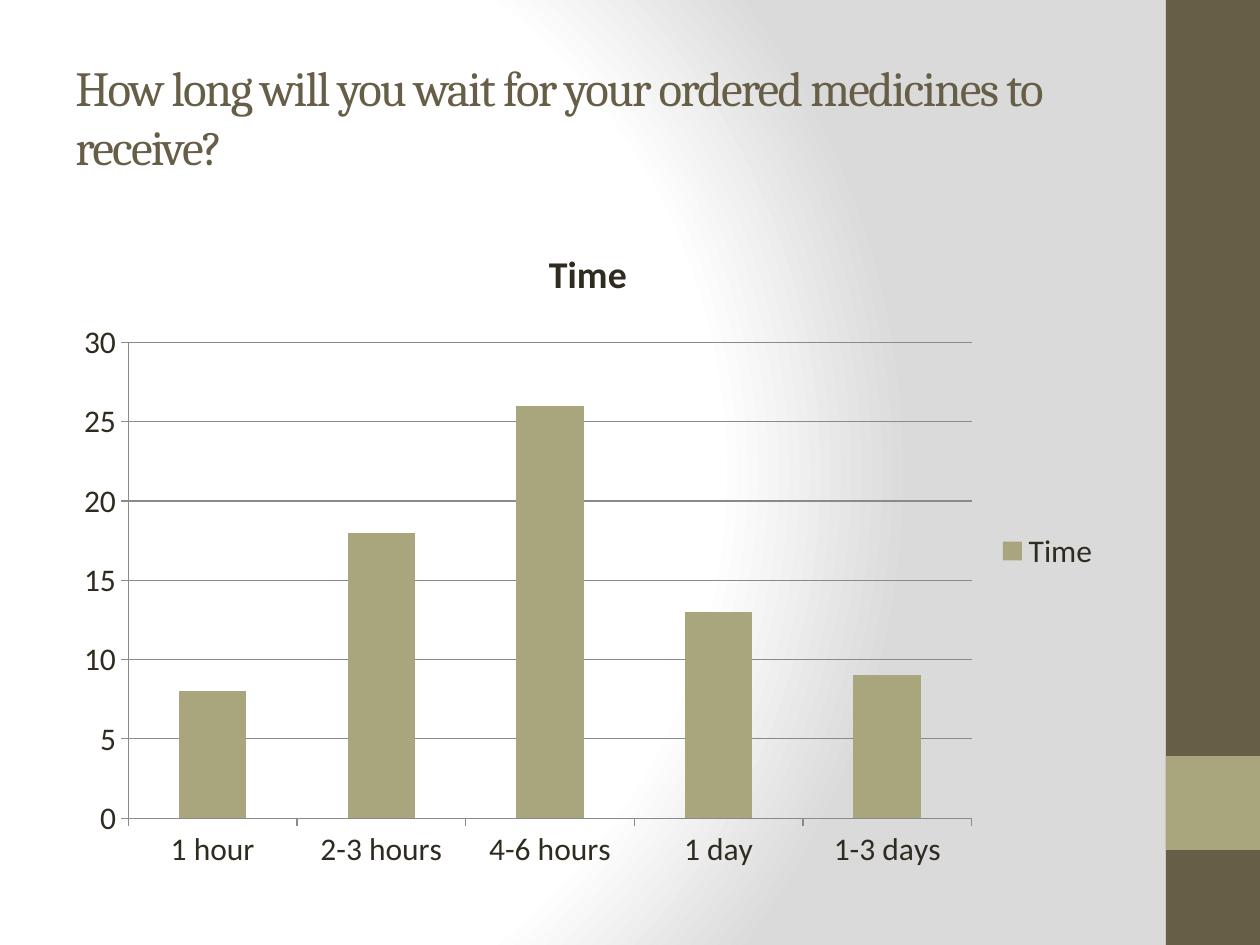
from pptx import Presentation
from pptx import util as u
from pptx.chart import data as cd
from pptx.dml.color import RGBColor
from pptx.enum import chart as ch, shapes, text
from pptx.oxml import parse_xml
from pptx.oxml.ns import nsdecls, qn

PX = 914400 / 126
COLORS = {"dark": "675E47", "sage": "A9A57C", "ink": "2F2B20", "grid": "8B8989",
          "white": "FFFFFF", "gray": "DADADA"}


def px(*lengths):
    return [u.Emu(int(n * PX)) for n in lengths]


def set_font(font, **values):
    font.color.rgb = RGBColor.from_string(COLORS[values.pop("color")])
    for name, value in values.items():
        setattr(font, name, value)


prs = Presentation()
prs.slide_width, prs.slide_height = px(1260, 945)
s = prs.slides.add_slide(prs.slide_layouts[6])

s.background.fill.gradient()
old = next(s._element.iter(qn("a:gradFill")))
stops = "".join(f'<a:gs pos="{pos * 1000}"><a:srgbClr val="{COLORS[c]}"/></a:gs>'
                for pos, c in ((0, "white"), (75, "white"), (100, "gray")))
old.getparent().replace(old, parse_xml(
    f'<a:gradFill {nsdecls("a")} rotWithShape="1"><a:gsLst>{stops}</a:gsLst>'
    '<a:path path="circle"><a:fillToRect l="20000" t="50000" r="100000" b="50000"/>'
    '</a:path></a:gradFill>'))

for top, height, color in ((0, 945, "dark"), (756, 94, "sage")):
    sp = s.shapes.add_shape(shapes.MSO_SHAPE.RECTANGLE, *px(1166, top, 94, height))
    sp.shadow.inherit = False
    sp.fill.solid()
    sp.fill.fore_color.rgb = RGBColor.from_string(COLORS[color])
    sp.line.fill.background()

title = s.shapes.add_textbox(*px(63, 38, 1050, 157))
tf = title.text_frame
tf.word_wrap = True
tf.vertical_anchor = text.MSO_ANCHOR.MIDDLE
r = tf.paragraphs[0].add_run()
r.text = "How long will you wait for your ordered medicines to receive?"
set_font(r.font, size=u.Pt(28), name="Cambria", color="dark")
r.font._element.set("spc", "-100")

times = cd.CategoryChartData()
times.categories = ["1 hour", "2-3 hours", "4-6 hours", "1 day", "1-3 days"]
times.add_series("Time", (8, 18, 26, 13, 9))
chart = s.shapes.add_chart(ch.XL_CHART_TYPE.COLUMN_STACKED, *px(63, 220, 1050, 662), times).chart
set_font(chart.font, size=u.Pt(18), name="Calibri", color="ink")
chart.has_title = True
r = chart.chart_title.text_frame.paragraphs[0].add_run()
r.text = "Time"
set_font(r.font, size=u.Pt(21.6), name="Calibri", bold=True, color="ink")
chart.has_legend = True
chart.legend.position = ch.XL_LEGEND_POSITION.RIGHT
chart.legend.include_in_layout = False

plot = chart.plots[0]
for name, value in {"gap_width": 150, "overlap": 100, "vary_by_categories": False}.items():
    setattr(plot, name, value)
bars = plot.series[0].format.fill
bars.solid()
bars.fore_color.rgb = RGBColor.from_string(COLORS["sage"])

scale = chart.value_axis
for name, value in {"minimum_scale": 0, "maximum_scale": 30, "major_unit": 5,
                    "has_major_gridlines": True}.items():
    setattr(scale, name, value)
for axis in (scale, chart.category_axis):
    axis.major_tick_mark = ch.XL_TICK_MARK.OUTSIDE
    axis.minor_tick_mark = ch.XL_TICK_MARK.NONE
for part in (scale, chart.category_axis, scale.major_gridlines):
    part.format.line.color.rgb = RGBColor.from_string(COLORS["grid"])
    part.format.line.width = u.Pt(0.75)

prs.save("out.pptx")
